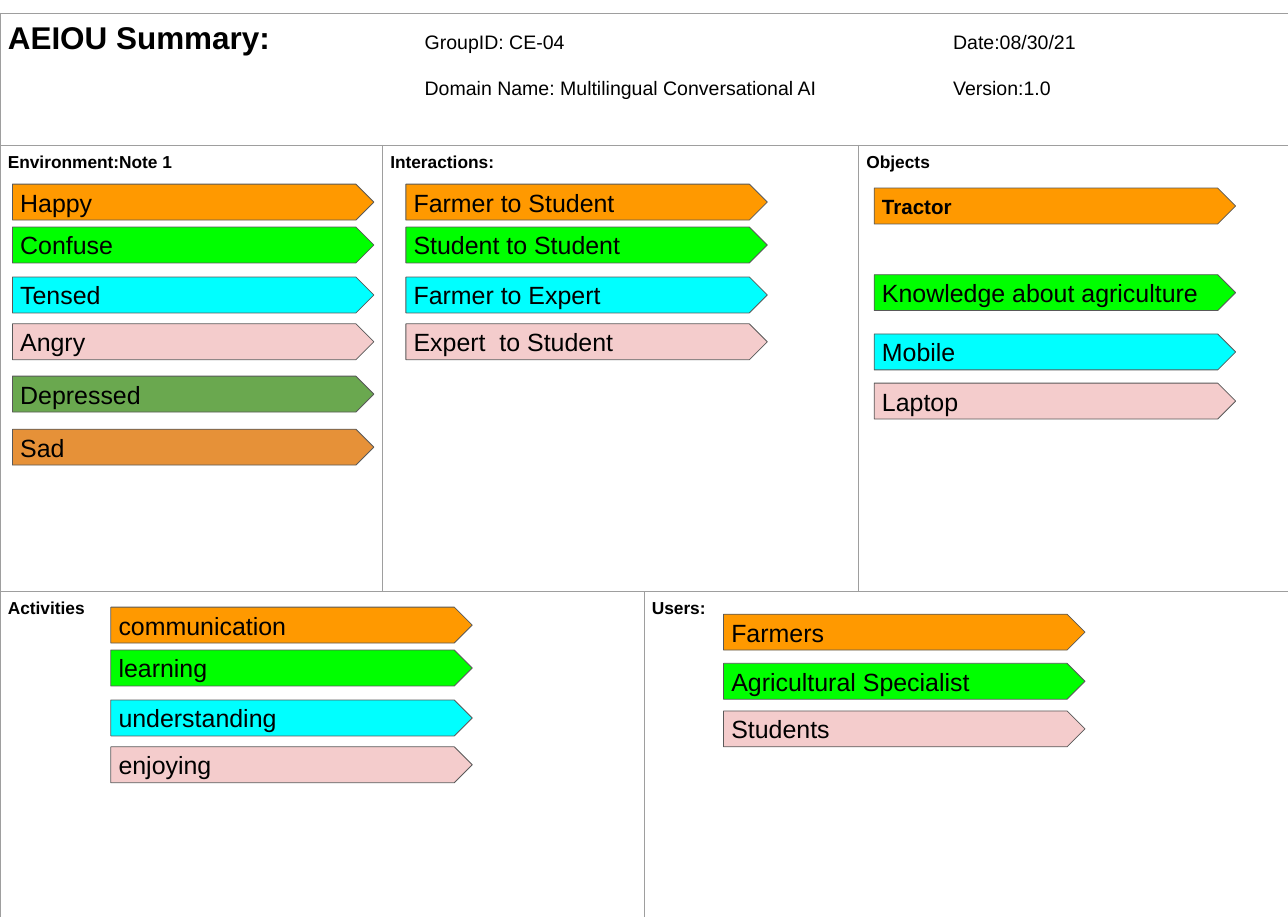
from lxml import etree
from pptx import Presentation
from pptx.dml.color import RGBColor
from pptx.enum.shapes import MSO_SHAPE
from pptx.enum.text import MSO_ANCHOR, PP_ALIGN
from pptx.oxml.ns import qn
from pptx.util import Inches, Pt

PENTAGON = MSO_SHAPE.PENTAGON
MIDDLE = MSO_ANCHOR.MIDDLE
LEFT = PP_ALIGN.LEFT
FONT = "Arial"
BLACK, BORDER, OUTLINE = "000000", "9E9E9E", "595959"
ORANGE, LIME, CYAN, PINK = "FF9900", "00FF00", "00FFFF", "F4CCCC"
GREEN, COPPER = "6AA84F", "E69138"
HEADER_TABS = (5.34, 12.11)

ARROWS = [
    (5.2, [
        ("Farmer to Student", ORANGE, 2.36),
        ("Student to Student", LIME, 2.91),
        ("Farmer to Expert", CYAN, 3.55),
        ("Expert  to Student", PINK, 4.15),
    ]),
    (0.16, [
        ("Happy", ORANGE, 2.36),
        ("Confuse", LIME, 2.91),
        ("Tensed", CYAN, 3.55),
        ("Angry", PINK, 4.15),
        ("Depressed", GREEN, 4.82),
        ("Sad", COPPER, 5.5),
    ]),
    (11.2, [
        ("Tractor", ORANGE, 2.41),
        ("Knowledge about agriculture", LIME, 3.52),
        ("Mobile", CYAN, 4.28),
        ("Laptop", PINK, 4.91),
    ]),
    (1.42, [
        ("communication", ORANGE, 7.78),
        ("learning", LIME, 8.33),
        ("understanding", CYAN, 8.97),
        ("enjoying", PINK, 9.57),
    ]),
    (9.27, [
        ("Farmers", ORANGE, 7.87),
        ("Agricultural Specialist", LIME, 8.5),
        ("Students", PINK, 9.11),
    ]),
]


def rgb(color):
    return RGBColor.from_string(color)


def add_run(p, text, size, bold=False):
    r = p.add_run()
    r.text = text
    r.font.name = FONT
    r.font.size = Pt(size)
    r.font.bold = bold
    r.font.color.rgb = rgb(BLACK)


def set_margins(target):
    target.margin_left = target.margin_right = Inches(0.1)
    target.margin_top = target.margin_bottom = Inches(0.1)


def add_borders(cell):
    tcPr = cell._tc.get_or_add_tcPr()
    for i, side in enumerate(("lnL", "lnR", "lnT", "lnB")):
        ln = etree.Element(qn(f"a:{side}"), w=str(Pt(0.75)))
        fill = etree.SubElement(ln, qn("a:solidFill"))
        etree.SubElement(fill, qn("a:srgbClr"), val=BORDER)
        tcPr.insert(i, ln)


def add_tabs(p, stops):
    tabs = etree.SubElement(p._p.get_or_add_pPr(), qn("a:tabLst"))
    for stop in stops:
        etree.SubElement(tabs, qn("a:tab"), pos=str(Inches(stop)), algn="l")


def add_grid(slide, top, widths, heights):
    frame = slide.shapes.add_table(
        len(heights), len(widths), Inches(0), Inches(top),
        Inches(sum(widths)), Inches(sum(heights)))
    table = frame.table
    table.first_row = table.horz_banding = False
    for column, width in zip(table.columns, widths):
        column.width = Inches(width)
    for row, height in zip(table.rows, heights):
        row.height = Inches(height)
    for cell in table.iter_cells():
        set_margins(cell)
        cell.fill.background()
        add_borders(cell)
    return table


def fill_header(cell):
    tf = cell.text_frame
    p = tf.paragraphs[0]
    add_tabs(p, HEADER_TABS)
    add_run(p, "AEIOU Summary:", 29, True)
    add_run(p, "\tGroupID: CE-04\tDate:08/30/21", 18)
    p = tf.add_paragraph()
    p.space_before = Pt(20)
    add_tabs(p, HEADER_TABS)
    add_run(p, "\tDomain Name: Multilingual Conversational AI\tVersion:1.0", 18)


def fill_headings(table, row, headings):
    for column, heading in enumerate(headings):
        p = table.cell(row, column).text_frame.paragraphs[0]
        add_run(p, heading, 16, True)


def add_arrow(slide, left, top, text, color, size=23, bold=False):
    sp = slide.shapes.add_shape(
        PENTAGON, Inches(left), Inches(top), Inches(4.63), Inches(0.46))
    sp.shadow.inherit = False
    sp.fill.solid()
    sp.fill.fore_color.rgb = rgb(color)
    sp.line.color.rgb = rgb(OUTLINE)
    sp.line.width = Pt(0.75)
    tf = sp.text_frame
    tf.word_wrap = True
    tf.vertical_anchor = MIDDLE
    set_margins(tf)
    p = tf.paragraphs[0]
    p.alignment = LEFT
    add_run(p, text, size, bold)


def main():
    prs = Presentation()
    prs.slide_width = Inches(16.5)
    prs.slide_height = Inches(11.75)
    slide = prs.slides.add_slide(prs.slide_layouts[6])

    upper = add_grid(slide, 0.17, (4.9, 6.1, 5.5), (1.69, 5.72))
    upper.cell(0, 0).merge(upper.cell(0, 2))
    fill_header(upper.cell(0, 0))
    fill_headings(upper, 1, ("Environment:Note 1", "Interactions:", "Objects"))

    lower = add_grid(slide, 7.58, (8.25, 8.25), (4.17,))
    fill_headings(lower, 0, ("Activities", "Users:"))

    for left, arrows in ARROWS:
        for text, color, top in arrows:
            if text == "Tractor":
                add_arrow(slide, left, top, text, color, 19, True)
            else:
                add_arrow(slide, left, top, text, color)

    prs.save("out.pptx")


if __name__ == "__main__":
    main()
